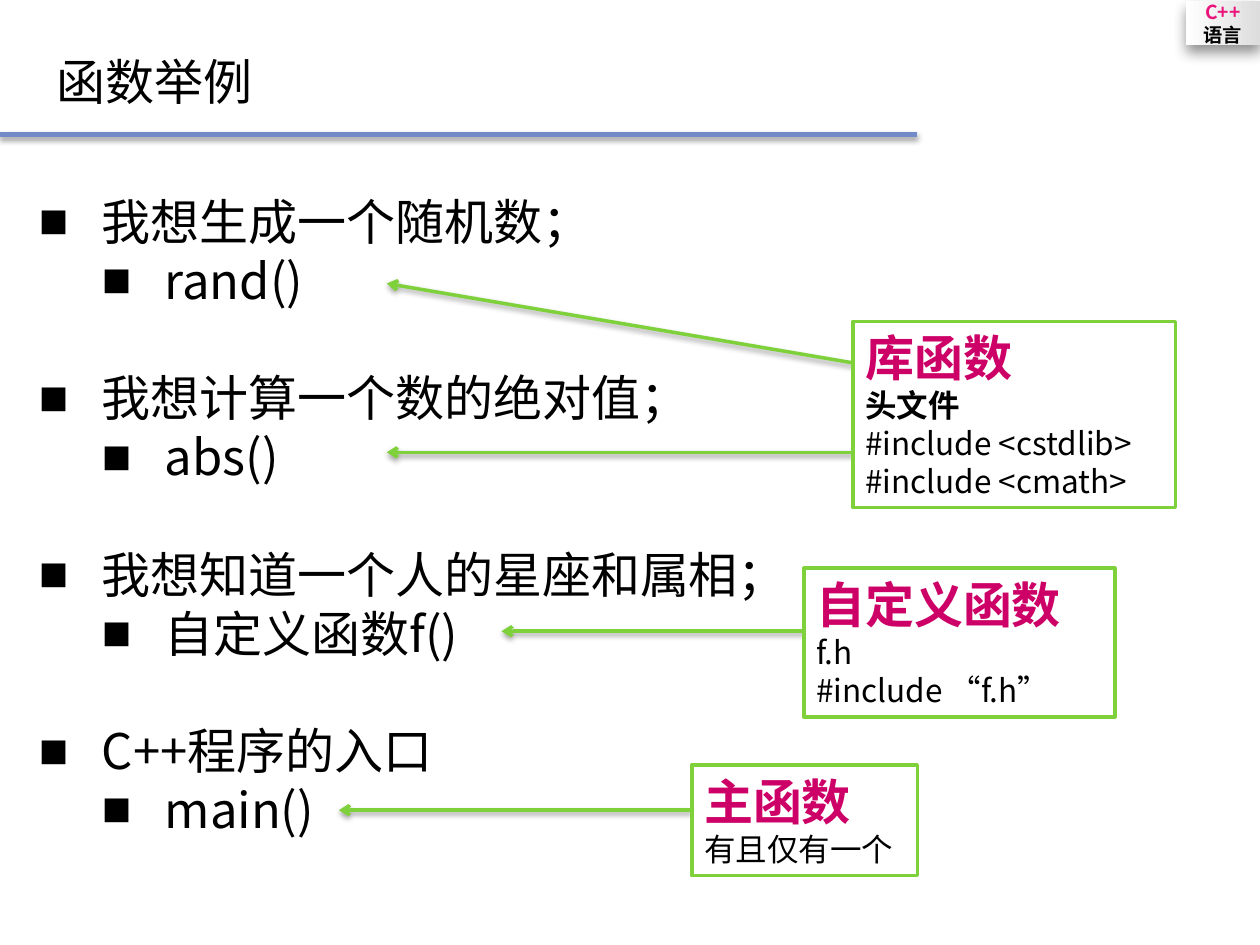
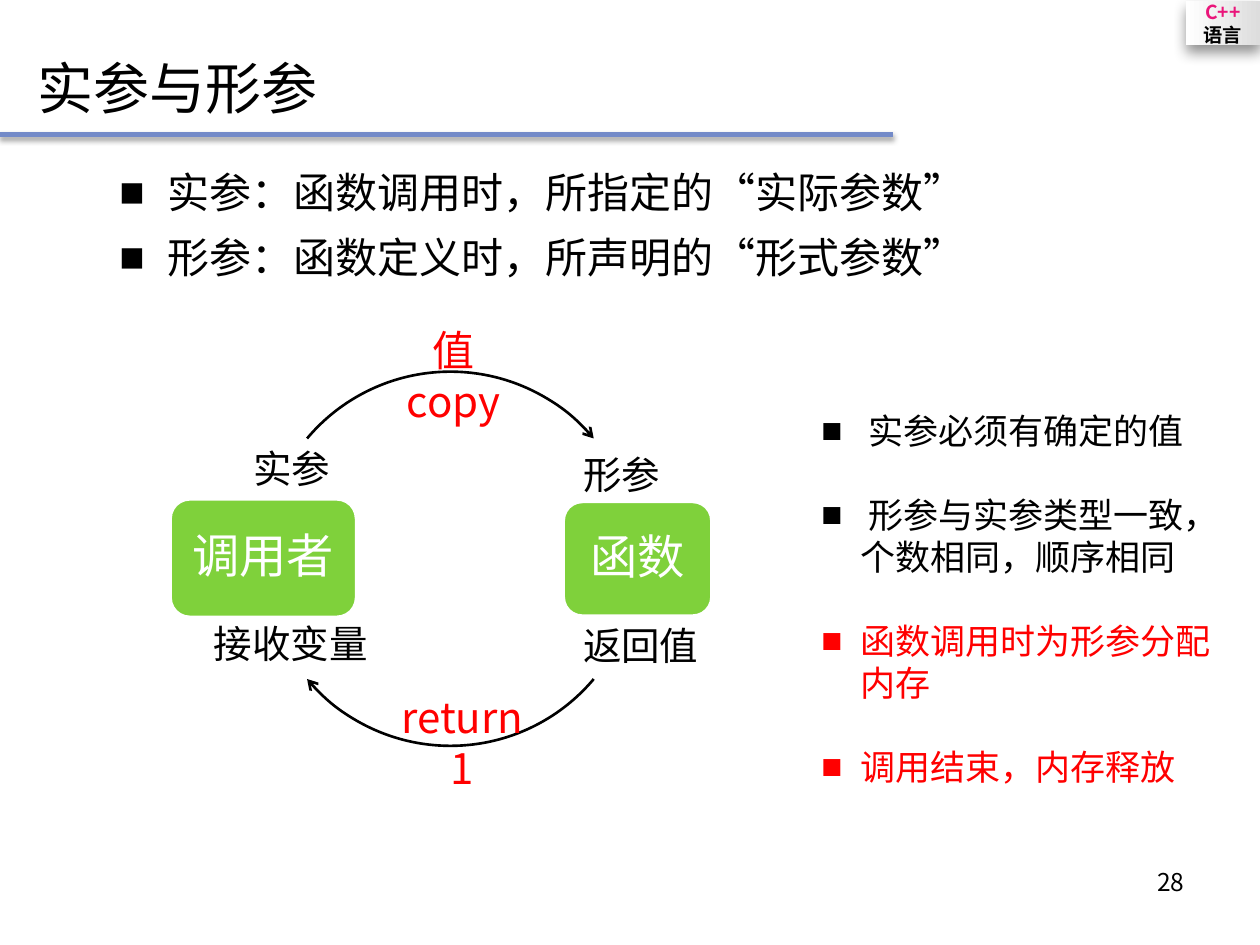
from lxml import etree
from pptx import Presentation
from pptx.dml.color import RGBColor
from pptx.enum.shapes import MSO_CONNECTOR, MSO_SHAPE
from pptx.enum.text import MSO_ANCHOR, PP_ALIGN
from pptx.oxml import parse_xml
from pptx.oxml.ns import nsdecls, qn
from pptx.util import Inches, Pt

FONT = "Noto Sans CJK SC"
BLACK, WHITE, RED = "000000", "FFFFFF", "FF0000"
GREEN, BLUE, PINK, CRIMSON = "7FD13B", "738AC8", "EA157A", "CC0066"
rgb = RGBColor.from_string
SHADOW = ('<a:outerShdw %s blurRad="{}" dist="{}" dir="{}" rotWithShape="0">'
          '<a:srgbClr val="000000"><a:alpha val="{}"/></a:srgbClr>'
          '</a:outerShdw>' % nsdecls("a"))


def add_text(tf, lines, size, color=BLACK, bold=False, align=PP_ALIGN.LEFT,
             font=FONT, indent=None):
    """Append one paragraph per line; indent is the text margin and hang of a bullet."""
    added = []
    for line in lines:
        p = tf.paragraphs[0] if not tf.text else tf.add_paragraph()
        p.alignment = align
        if indent:
            pPr = p._p.get_or_add_pPr()
            pPr.set("marL", str(Inches(indent[0])))
            pPr.set("indent", str(-Inches(indent[1])))
            etree.SubElement(pPr, qn("a:buFont")).set("typeface", "Arial")
            etree.SubElement(pPr, qn("a:buChar")).set("char", "■")
        r = p.add_run()
        r.text = line
        r.font.size, r.font.bold, r.font.name = Pt(size), bold, font
        r.font.color.rgb = rgb(color)
        etree.SubElement(r._r.get_or_add_rPr(), qn("a:ea")).set("typeface", FONT)
        added.append(p)
    return added


def add_line(s, x1, y1, x2, y2, color, width, arrow=False):
    """Draw a straight line with a soft shadow below it."""
    line = s.shapes.add_connector(MSO_CONNECTOR.STRAIGHT, Inches(x1), Inches(y1),
                                  Inches(x2), Inches(y2))
    line.line.color.rgb = rgb(color)
    line.line.width = Pt(width)
    spPr = line._element.spPr
    if arrow:
        etree.SubElement(spPr.find(qn("a:ln")), qn("a:tailEnd")).set("type", "arrow")
    effects = etree.SubElement(spPr, qn("a:effectLst"))
    effects.append(parse_xml(SHADOW.format(Pt(3.1), Pt(1.7), 90 * 60000, 36000)))


prs = Presentation()
prs.slide_width, prs.slide_height = Inches(10), Inches(7.5)

# Shared: course badge, title and rule
slides = []
for title, size, box, rule_end in [
    ("函数举例", 28, (0.35, 0.21, 3.96, 0.87), 7.28),
    ("实参与形参", 32, (0.2, 0.37, 3, 0.64), 7.09),
]:
    s = prs.slides.add_slide(prs.slide_layouts[5])
    slides.append(s)

    sp = s.shapes.add_shape(MSO_SHAPE.RECTANGLE, Inches(9.41), Inches(0.01),
                            Inches(0.59), Inches(0.35))
    sp.line.fill.background()
    sp.fill.gradient()
    sp.fill.gradient_angle = 0
    for stop, color in zip(sp.fill.gradient_stops, (WHITE, "DDDDDD")):
        stop.color.rgb = rgb(color)
    sp.shadow.inherit = False
    effects = sp._element.spPr.find(qn("a:effectLst"))
    effects.append(parse_xml(SHADOW.format(Pt(8), Pt(4), 84 * 60000, 44000)))
    tf = sp.text_frame
    tf.word_wrap = False
    tf.vertical_anchor = MSO_ANCHOR.MIDDLE
    add_text(tf, ["C++"], 11, PINK, True, PP_ALIGN.CENTER)
    add_text(tf, ["语言"], 11, BLACK, True, PP_ALIGN.CENTER)

    sp = s.shapes.title
    sp.left, sp.top, sp.width, sp.height = map(Inches, box)
    sp.text_frame.vertical_anchor = MSO_ANCHOR.MIDDLE
    add_text(sp.text_frame, [title], size)
    add_line(s, 0, 1.07, rule_end, 1.07, BLUE, 3)

# Slide 1: needs and the functions that meet them
s = slides[0]
tf = s.shapes.add_textbox(Inches(0.21), Inches(1.47), Inches(6.36), Inches(5.28)).text_frame
tf.word_wrap = True
for i, (need, function) in enumerate([
    ("我想生成一个随机数；", "rand()"),
    ("我想计算一个数的绝对值；", "abs()"),
    ("我想知道一个人的星座和属相；", "自定义函数f()"),
    ("C++程序的入口", "main()"),
]):
    p = add_text(tf, [need], 28, indent=(0.5, 0.5))[0]
    if i:
        p.space_before = Pt(33.6)
    p = add_text(tf, [function], 28, indent=(1, 0.5))[0]
    p.level = 1

# Slide 1: callouts, with arrows given as start height, end x, end y
for box, heading, strong, plain, arrows in [
    ((6.77, 2.55, 2.56, 1.48), "库函数", ["头文件"],
     ["#include <cstdlib>", "#include <cmath>"],
     [(2.88, 3.07, 2.25), (3.59, 3.07, 3.59)]),
    ((6.38, 4.51, 2.47, 1.18), "自定义函数", [],
     ["f.h", "#include “f.h”"], [(5.01, 3.98, 5.01)]),
    ((5.49, 6.07, 1.79, 0.88), "主函数", [],
     ["有且仅有一个"], [(6.43, 2.69, 6.43)]),
]:
    for y1, x2, y2 in arrows:
        add_line(s, box[0], y1, x2, y2, GREEN, 2, arrow=True)
    sp = s.shapes.add_shape(MSO_SHAPE.RECTANGLE, *map(Inches, box))
    sp.shadow.inherit = False
    sp.fill.solid()
    sp.fill.fore_color.rgb = rgb(WHITE)
    sp.line.color.rgb = rgb(GREEN)
    sp.line.width = Pt(2)
    tf = sp.text_frame
    tf.word_wrap = True
    tf.vertical_anchor = MSO_ANCHOR.TOP
    add_text(tf, [heading], 28, CRIMSON, True)
    add_text(tf, strong, 18, bold=True)
    add_text(tf, plain, 18)

# Slide 2: definitions
s = slides[1]
tf = s.shapes.add_textbox(Inches(0.43), Inches(1.23), Inches(9.5), Inches(1.2)).text_frame
tf.word_wrap = True
for p in add_text(tf, ["实参：函数调用时，所指定的“实际参数”",
                       "形参：函数定义时，所声明的“形式参数”"], 24, indent=(0.8, 0.38)):
    p.level = 1
    p.line_spacing = Pt(32)
    p.space_before = Pt(5)

# Slide 2: caller and function
for name, box in [("调用者", (1.35, 3.96, 1.48, 0.94)),
                  ("函数", (4.47, 3.98, 1.18, 0.91))]:
    sp = s.shapes.add_shape(MSO_SHAPE.ROUNDED_RECTANGLE, *map(Inches, box))
    sp.shadow.inherit = False
    sp.fill.solid()
    sp.fill.fore_color.rgb = rgb(GREEN)
    sp.line.color.rgb = rgb(WHITE)
    sp.line.width = Pt(2)
    tf = sp.text_frame
    tf.vertical_anchor = MSO_ANCHOR.MIDDLE
    p = add_text(tf, [name], 27, WHITE, align=PP_ALIGN.CENTER, font="Arial")[0]
    p.line_spacing = 0.9

# Slide 2: arcs of one circle, clockwise between two angles in degrees
for start, end in [(220, 320), (40, 140)]:
    sp = s.shapes.add_shape(MSO_SHAPE.ARC, Inches(2.09), Inches(2.95),
                            Inches(2.97), Inches(2.97))
    sp.adjustments[0], sp.adjustments[1] = start * 0.6, end * 0.6
    sp.shadow.inherit = False
    sp.fill.background()
    sp.line.color.rgb = rgb(BLACK)
    sp.line.width = Pt(1.5)
    ln = sp._element.spPr.find(qn("a:ln"))
    etree.SubElement(ln, qn("a:tailEnd")).set("type", "arrow")

# Slide 2: labels around the cycle and the page number
for lines, box, size, color, align in [
    (["实参"], (1.91, 3.48, 0.82, 0.47), 22, BLACK, PP_ALIGN.LEFT),
    (["形参"], (4.53, 3.53, 0.82, 0.47), 22, BLACK, PP_ALIGN.LEFT),
    (["返回值"], (4.53, 4.89, 1.13, 0.47), 22, BLACK, PP_ALIGN.LEFT),
    (["接收变量"], (1.6, 4.87, 1.44, 0.47), 22, BLACK, PP_ALIGN.LEFT),
    (["值", "copy"], (3.11, 2.53, 0.98, 0.91), 24, RED, PP_ALIGN.CENTER),
    (["return", "1"], (3.08, 5.44, 1.18, 0.91), 24, RED, PP_ALIGN.CENTER),
    (["28"], (7.17, 6.83, 2.33, 0.52), 14, BLACK, PP_ALIGN.RIGHT),
]:
    tf = s.shapes.add_textbox(*map(Inches, box)).text_frame
    tf.word_wrap = align == PP_ALIGN.RIGHT
    add_text(tf, lines, size, color, align=align)

# Slide 2: rules for parameters
tf = s.shapes.add_textbox(Inches(6.42), Inches(3.2), Inches(3.31), Inches(3.48)).text_frame
tf.word_wrap = True
rules = add_text(tf, [" 实参必须有确定的值", " 形参与实参类型一致，个数相同，顺序相同"],
                 20, indent=(0.31, 0.31))
rules += add_text(tf, ["函数调用时为形参分配内存", "调用结束，内存释放"],
                  20, RED, indent=(0.31, 0.31))
for p in rules[1:]:
    p.space_before = Pt(24)

prs.save("out.pptx")
